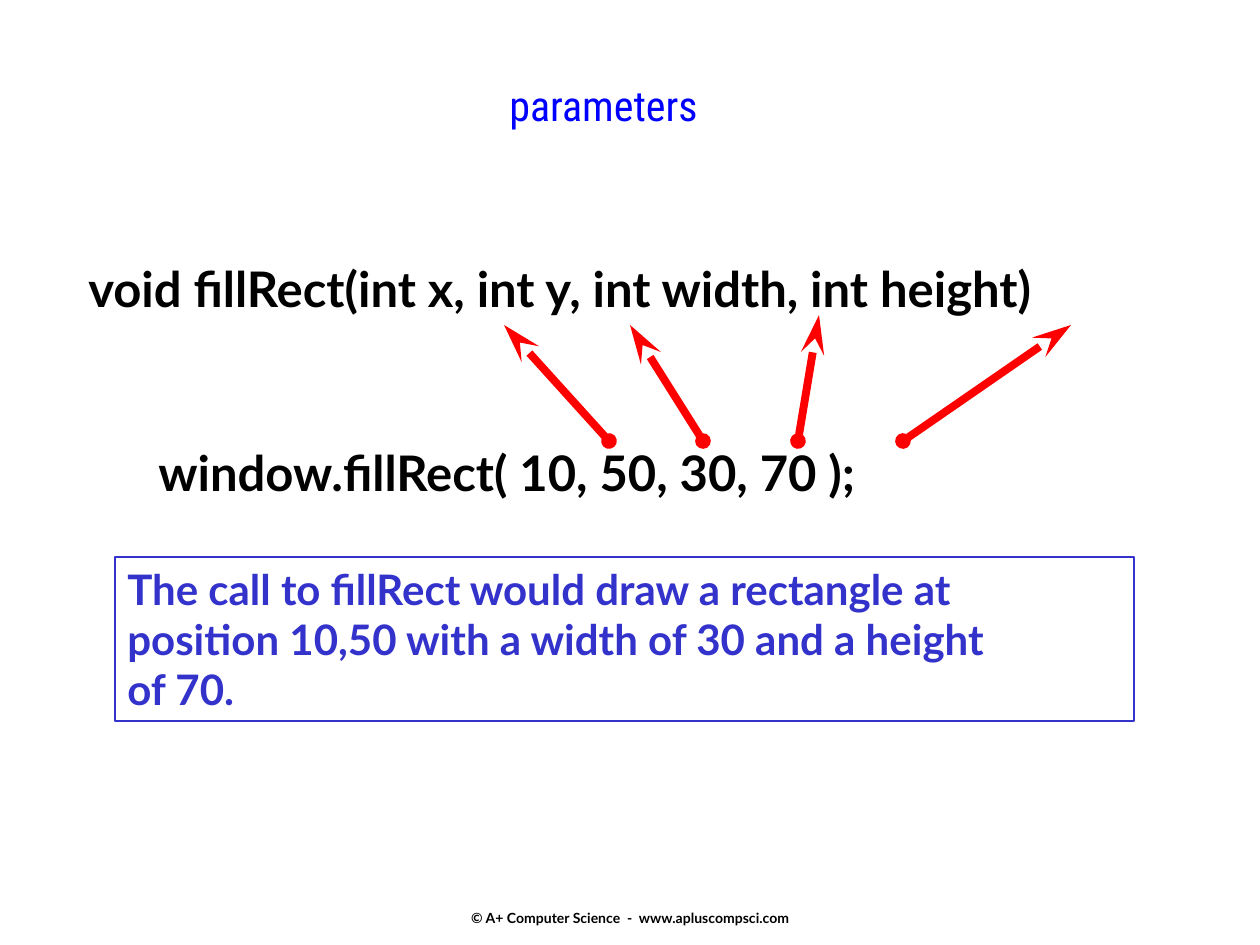
from dataclasses import dataclass

from lxml import etree
from pptx import Presentation
from pptx.dml.color import RGBColor
from pptx.enum.shapes import MSO_CONNECTOR, MSO_SHAPE
from pptx.enum.text import MSO_ANCHOR, PP_ALIGN
from pptx.oxml.ns import qn
from pptx.util import Pt

EMU_PER_PX = 914400 / 126
BLANK_LAYOUT = 6

BLACK = RGBColor(0x00, 0x00, 0x00)
BLUE = RGBColor(0x00, 0x00, 0xFF)
INDIGO = RGBColor(0x33, 0x33, 0xCC)
RED = RGBColor(0xFF, 0x00, 0x00)

LEFT, CENTER = PP_ALIGN.LEFT, PP_ALIGN.CENTER
TOP, MIDDLE = MSO_ANCHOR.TOP, MSO_ANCHOR.MIDDLE
STRAIGHT = MSO_CONNECTOR.STRAIGHT
RECTANGLE = MSO_SHAPE.RECTANGLE


@dataclass(frozen=True)
class Label:
    text: str
    left: int
    top: int
    width: int
    height: int
    size: int
    color: RGBColor = BLACK
    font: str = "Lato"
    bold: bool = True
    align: int = LEFT
    anchor: int = TOP
    outlined: bool = False


@dataclass(frozen=True)
class ParameterArrow:
    start_x: int
    end_x: int
    end_y: int


ARGUMENT_Y = 441

LABELS = [
    # Title
    Label("parameters", 126, 73, 955, 95, 24, BLUE, "Roboto Condensed",
          bold=False, align=CENTER),
    # Method signature and the call that matches it
    Label("void fillRect(int x, int y, int width, int height)",
          76, 252, 1108, 71, 28),
    Label("window.fillRect( 10, 50, 30, 70 );", 146, 436, 900, 71, 28),
    # Explanation
    Label("The call to fillRect would draw a rectangle at\n"
          "position 10,50 with a width of 30 and a height\n"
          "of 70.", 115, 557, 1019, 164, 24, INDIGO, outlined=True),
    # Footer
    Label("© A+ Computer Science  -  www.apluscompsci.com",
          431, 903, 399, 30, 8, align=CENTER, anchor=MIDDLE),
]

PARAMETER_ARROWS = [
    ParameterArrow(609, 504, 325),
    ParameterArrow(703, 630, 325),
    ParameterArrow(798, 819, 315),
    ParameterArrow(903, 1071, 325),
]


def px(length: int) -> int:
    return round(length * EMU_PER_PX)


def draw_label(slide, label: Label) -> None:
    area = [px(v) for v in (label.left, label.top, label.width, label.height)]
    if label.outlined:
        box = slide.shapes.add_shape(RECTANGLE, *area)
        box.shadow.inherit = False
        box.fill.background()
        box.line.color.rgb = label.color
        box.line.width = Pt(0.75)
    else:
        box = slide.shapes.add_textbox(*area)
    frame = box.text_frame
    frame.word_wrap = True
    frame.vertical_anchor = label.anchor
    frame.text = label.text
    for paragraph in frame.paragraphs:
        paragraph.alignment = label.align
        for run in paragraph.runs:
            run.font.name = label.font
            run.font.size = Pt(label.size)
            run.font.bold = label.bold
            run.font.color.rgb = label.color


def draw_arrow(slide, arrow: ParameterArrow) -> None:
    connector = slide.shapes.add_connector(
        STRAIGHT, px(arrow.start_x), px(ARGUMENT_Y),
        px(arrow.end_x), px(arrow.end_y))
    connector.line.color.rgb = RED
    connector.line.width = Pt(4.5)
    outline = connector.line._get_or_add_ln()
    etree.SubElement(outline, qn("a:headEnd"), type="oval", w="sm", len="sm")
    etree.SubElement(outline, qn("a:tailEnd"), type="stealth", w="med", len="lg")
    etree.SubElement(connector._element.spPr, qn("a:effectLst"))


def main() -> None:
    deck = Presentation()
    deck.slide_width, deck.slide_height = px(1260), px(945)
    slide = deck.slides.add_slide(deck.slide_layouts[BLANK_LAYOUT])
    for label in LABELS:
        draw_label(slide, label)
    for arrow in PARAMETER_ARROWS:
        draw_arrow(slide, arrow)
    deck.save("out.pptx")


if __name__ == "__main__":
    main()
